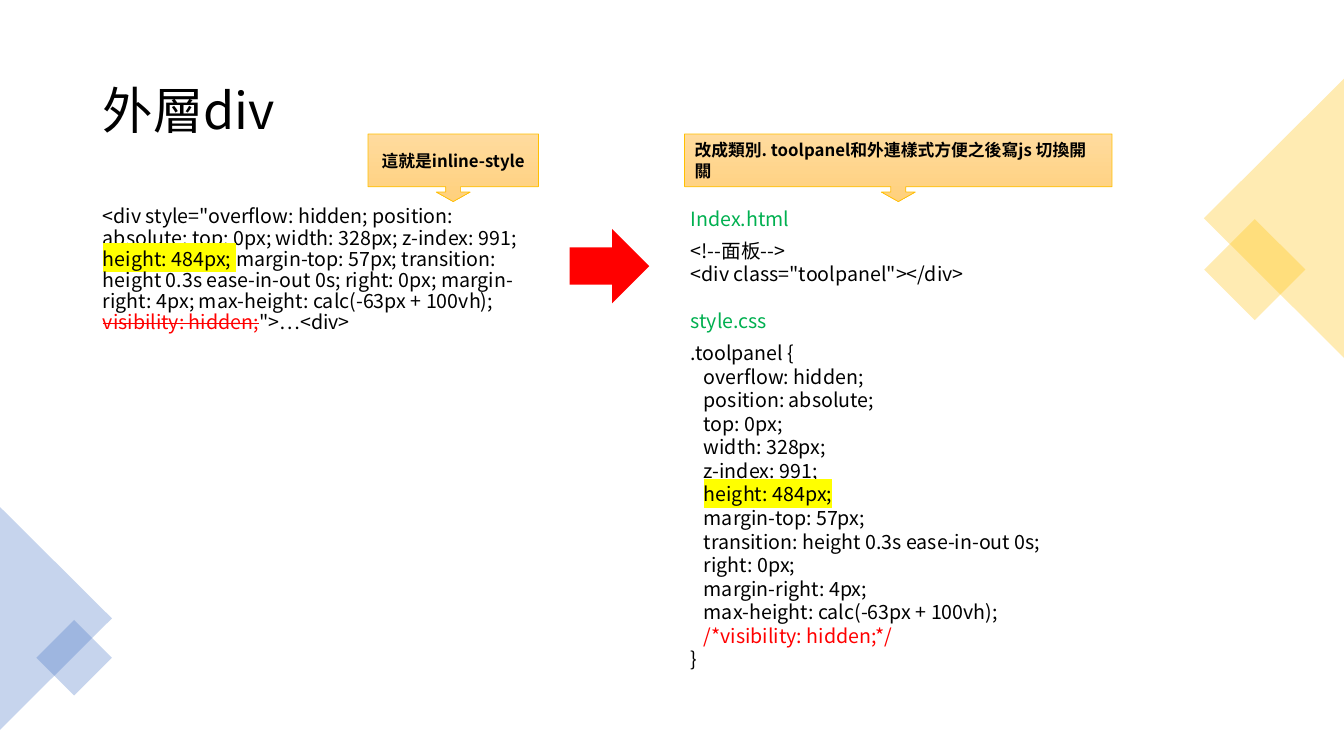
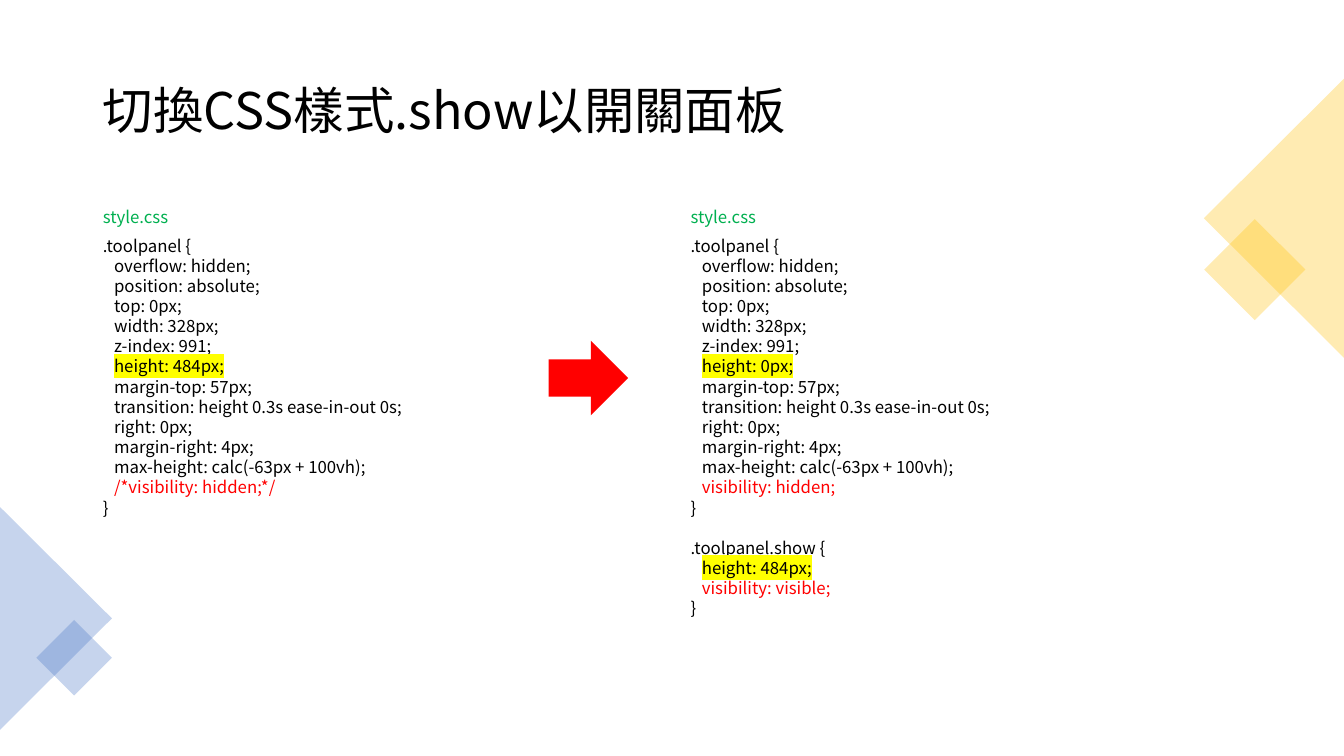
from dataclasses import dataclass

from lxml import etree
from pptx import Presentation
from pptx import util as u
from pptx.dml.color import RGBColor
from pptx.enum import shapes, text
from pptx.oxml import ns


@dataclass(frozen=True)
class Theme:
    font: str = "Noto Sans CJK SC"
    ink: str = "000000"
    file_name: str = "00B050"
    alert: str = "FF0000"
    marker: str = "FFFF00"
    amber: str = "FFC000"
    blue: str = "4472C4"
    callout_top: str = "FFDB9E"
    callout_bottom: str = "FFD07C"
    title_size: int = 36
    code_size: int = 14
    small_size: int = 12


theme = Theme()
SHAPE = shapes.MSO_SHAPE
ALIGN = text.PP_ALIGN

# Text colour of each tone; tones not listed use the ink colour
TONES = {"file": theme.file_name, "alert": theme.alert, "struck": theme.alert}


def write(frame, paragraphs, size, leading, align=ALIGN.LEFT):
    """Fill a frame from (kind, [(words, tone), ...]) paragraphs."""
    frame.word_wrap = True
    frame.auto_size = text.MSO_AUTO_SIZE.NONE
    for number, (kind, pieces) in enumerate(paragraphs):
        para = frame.paragraphs[0] if number == 0 else frame.add_paragraph()
        para.alignment = align
        para.line_spacing = leading
        # A new section leaves one line free above it
        para.space_before = u.Pt(size * 1.2 if kind == "section" else 0)
        para.space_after = u.Pt(6 if pieces[0][1] == "file" else 0)
        props = para._p.get_or_add_pPr()
        indent = u.Inches(size * 0.0093) if kind == "property" else 0
        props.set("marL", str(indent))
        props.set("indent", "0")
        etree.SubElement(props, ns.qn("a:buNone"))
        for words, tone in pieces:
            run = para.add_run()
            run.text = words
            run.font.size = u.Pt(size)
            run.font.bold = tone == "bold"
            run.font.color.rgb = RGBColor.from_string(TONES.get(tone, theme.ink))
            run.font.name = theme.font
            rpr = run._r.get_or_add_rPr()
            latin = rpr.find(ns.qn("a:latin"))
            if tone == "marked":
                highlight = etree.Element(ns.qn("a:highlight"))
                etree.SubElement(highlight, ns.qn("a:srgbClr"), val=theme.marker)
                latin.addprevious(highlight)
            if tone == "struck":
                rpr.set("strike", "sngStrike")
            latin.addnext(etree.Element(ns.qn("a:ea"), typeface=theme.font))


def add_plain_shape(slide, preset, box, color):
    """Add a flat shape without outline or shadow."""
    shape = slide.shapes.add_shape(preset, *map(u.Inches, box))
    shape.shadow.inherit = False
    shape.fill.solid()
    shape.fill.fore_color.rgb = RGBColor.from_string(color)
    shape.line.fill.background()
    return shape


# Presentation and shared title position
prs = Presentation()
prs.slide_width, prs.slide_height = u.Inches(13.33), u.Inches(7.5)
layout = prs.slide_layouts.get_by_name("Two Content")
heading = layout.placeholders[0]
heading.left, heading.top = u.Inches(0.92), u.Inches(0.4)
heading.width, heading.height = u.Inches(11.5), u.Inches(1.45)
outer_slide, toggle_slide = [prs.slides.add_slide(layout) for _ in range(2)]

# Translucent corner ornaments, kept on the master
ornaments = [
    (SHAPE.RECTANGLE, (12.09, 2.32, 0.71, 0.71), 45, theme.amber),
    (SHAPE.ISOSCELES_TRIANGLE, (11.25, 1.47, 2.77, 1.39), 270, theme.amber),
    (SHAPE.ISOSCELES_TRIANGLE, (-0.55, 5.58, 2.21, 1.11), 90, theme.blue),
    (SHAPE.RECTANGLE, (0.47, 6.26, 0.53, 0.53), 45, theme.blue),
]
for number, (preset, box, angle, color) in enumerate(ornaments):
    ornament = add_plain_shape(outer_slide, preset, box, color)
    ornament.rotation = angle
    tint = ornament.element.spPr.find(ns.qn("a:solidFill"))[0]
    etree.SubElement(tint, ns.qn("a:alpha"), val="30000")
    ornament.element.nvSpPr.cNvPr.set("id", str(20 + number))
    prs.slide_master.shapes.element.append(ornament.element)

# CSS rule of the panel, in its three variants
before_height = ["overflow: hidden;", "position: absolute;", "top: 0px;",
                 "width: 328px;", "z-index: 991;"]
after_height = ["margin-top: 57px;", "transition: height 0.3s ease-in-out 0s;",
                "right: 0px;", "margin-right: 4px;",
                "max-height: calc(-63px + 100vh);"]
open_panel, closed_panel = [
    [("line", [(".toolpanel {", "code")])]
    + [("property", [(words, "code")]) for words in before_height]
    + [("property", [(height, "marked")])]
    + [("property", [(words, "code")]) for words in after_height]
    + [("property", [(visibility, "alert")]), ("line", [("}", "code")])]
    for height, visibility in [("height: 484px;", "/*visibility: hidden;*/"),
                               ("height: 0px;", "visibility: hidden;")]
]
shown_panel = [
    ("section", [(".toolpanel.show {", "code")]),
    ("property", [("height: 484px;", "marked")]),
    ("property", [("visibility: visible;", "alert")]),
    ("line", [("}", "code")]),
]
css_file = [("line", [("style.css", "file")])]

# Inline markup and its replacement
inline_div = [("line", [
    ('<div style="overflow: hidden; position: absolute; top: 0px; '
     'width: 328px; z-index: 991; ', "code"),
    ("height: 484px; ", "marked"),
    ("margin-top: 57px; transition: height 0.3s ease-in-out 0s; right: 0px; "
     "margin-right: 4px; max-height: calc(-63px + 100vh); ", "code"),
    ("visibility: hidden;", "struck"),
    ('">…<div>', "code"),
])]
html_and_css = [
    ("line", [("Index.html", "file")]),
    ("line", [("<!--面板-->", "code")]),
    ("line", [('<div class="toolpanel"></div>', "code")]),
    ("section", [("style.css", "file")]),
] + open_panel

# Titles, code columns (box, paragraphs, line spacing) and arrows
pages = [
    (outer_slide, "外層div", theme.code_size, (5.65, 2.27), [
        ((0.92, 2, 4.42, 4.76), inline_div, 15.1),
        ((6.75, 2, 5.67, 5.28), html_and_css, 16.8)]),
    (toggle_slide, "切換CSS樣式.show以開關面板", theme.small_size, (5.44, 3.38), [
        ((0.92, 2, 5.67, 4.76), css_file + open_panel, 14.4),
        ((6.75, 2, 5.67, 4.76), css_file + closed_panel + shown_panel, 14.4)]),
]
for slide, title, size, arrow_at, columns in pages:
    title_frame = slide.shapes.title.text_frame
    title_frame.vertical_anchor = text.MSO_ANCHOR.MIDDLE
    write(title_frame, [("line", [(title, "code")])], theme.title_size, 0.9)
    for index, (box, paragraphs, leading) in enumerate(columns, start=1):
        column = slide.placeholders[index]
        column.left, column.top, column.width, column.height = map(u.Inches, box)
        write(column.text_frame, paragraphs, size, u.Pt(leading))
    add_plain_shape(slide, SHAPE.RIGHT_ARROW, (*arrow_at, 0.79, 0.74), theme.alert)

# Callouts above the two columns of the first slide
callouts = [
    (3.65, 1.69, ALIGN.CENTER, "這就是inline-style"),
    (6.79, 4.24, ALIGN.LEFT, "改成類別. toolpanel和外連樣式方便之後寫js 切換開關"),
]
for left, width, align, remark in callouts:
    callout = add_plain_shape(outer_slide, SHAPE.DOWN_ARROW_CALLOUT,
                              (left, 1.33, width, 0.67), theme.callout_top)
    for index, share in enumerate((0.22, 0.25, 0.14, 0.78)):
        callout.adjustments[index] = share
    callout.fill.gradient()
    callout.fill.gradient_angle = 270
    for stop, color in zip(callout.fill.gradient_stops,
                           (theme.callout_top, theme.callout_bottom)):
        stop.color.rgb = RGBColor.from_string(color)
    callout.line.color.rgb = RGBColor.from_string(theme.amber)
    callout.line.width = u.Pt(0.5)
    write(callout.text_frame, [("line", [(remark, "bold")])],
          theme.small_size, u.Pt(15), align)

prs.save("out.pptx")
